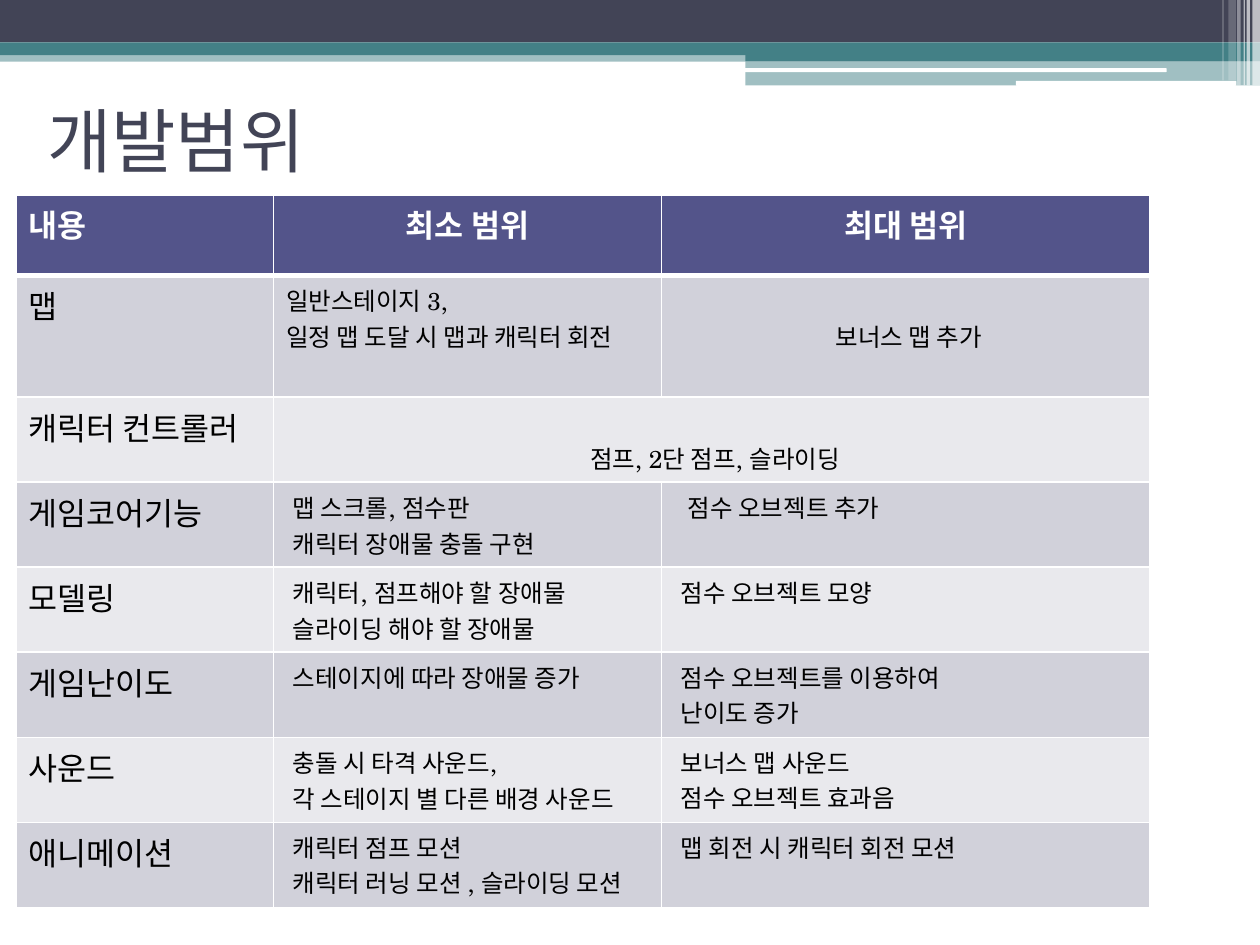
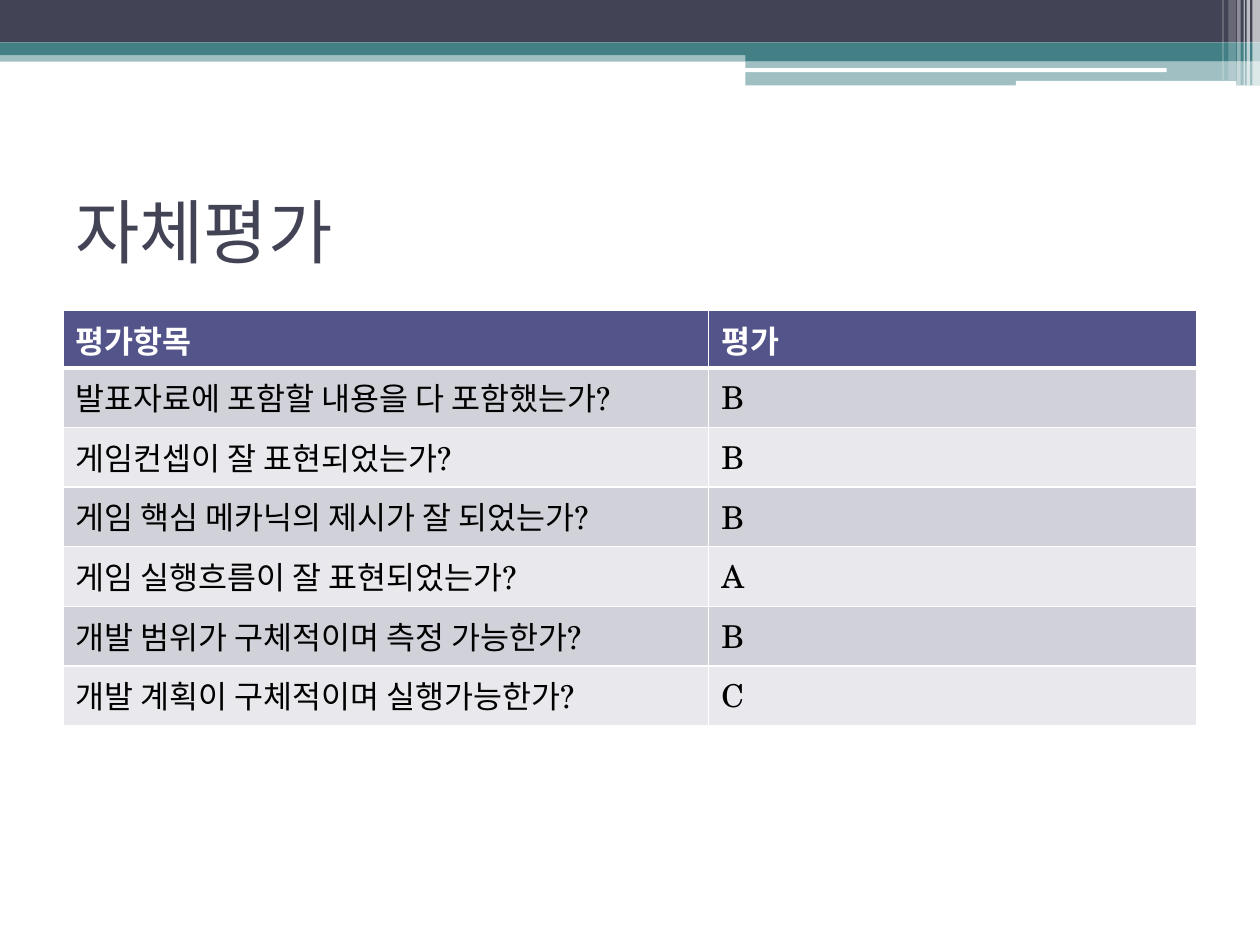
import lxml.etree
import pptx
import pptx.dml.color
import pptx.enum.shapes
import pptx.enum.text
import pptx.oxml.ns
import pptx.util

Pt = pptx.util.Pt
RGBColor = pptx.dml.color.RGBColor
MSO_SHAPE = pptx.enum.shapes.MSO_SHAPE
PP_ALIGN = pptx.enum.text.PP_ALIGN
MSO_ANCHOR = pptx.enum.text.MSO_ANCHOR
qn = pptx.oxml.ns.qn

# Shared style
SLATE = RGBColor(0x42, 0x44, 0x56)
TEAL = RGBColor(0x43, 0x80, 0x86)
WHITE = RGBColor(0xFF, 0xFF, 0xFF)
BLACK = RGBColor(0, 0, 0)
HEADER = RGBColor(0x53, 0x54, 0x8A)
ROW_DARK = RGBColor(0xD1, 0xD1, 0xDA)
ROW_LIGHT = RGBColor(0xE9, 0xE9, 0xED)
TITLE_FONT = "Karla"
TABLE_FONT = "TeX Gyre Schola"
RECT, ROUND = MSO_SHAPE.RECTANGLE, MSO_SHAPE.ROUNDED_RECTANGLE

# Top decoration: shape, left, top, width, height, colour, opacity in percent
BANDS = [
    (RECT, 0, 28.8, 720, 6.5, TEAL, 50),
    (RECT, 0, 0, 720, 24.3, SLATE, 100),
    (RECT, 0, 24.3, 720, 7.2, TEAL, 100),
    (RECT, 426, 28, 294, 7, TEAL, 100),
    (RECT, 426, 35, 294, 13.8, TEAL, 50),
    (ROUND, 425.5, 39, 241.2, 2.2, WHITE, 100),
    (ROUND, 580.5, 46.2, 126, 2.8, WHITE, 100),
    (RECT, 715.7, 0, 4.3, 48.8, WHITE, 65),
    (RECT, 712.3, 0, 2, 48.8, WHITE, 65),
    (RECT, 710.7, 0, 0.7, 48.8, WHITE, 60),
    (RECT, 707, 0, 2, 48.8, WHITE, 40),
    (RECT, 702, 0, 4.3, 46, WHITE, 20),
    (RECT, 698.5, 0, 0.7, 46, WHITE, 30),
]


def add_base(prs, title, left, top):
    """Add a slide with the top bands and its title."""
    s = prs.slides.add_slide(prs.slide_layouts[6])
    for shape, x, y, w, h, color, opacity in BANDS:
        sp = s.shapes.add_shape(shape, Pt(x), Pt(y), Pt(w), Pt(h))
        sp.shadow.inherit = False
        sp.fill.solid()
        sp.fill.fore_color.rgb = color
        sp.line.fill.background()
        if opacity < 100:
            clr = sp._element.spPr.find(".//" + qn("a:srgbClr"))
            lxml.etree.SubElement(clr, qn("a:alpha"), val=str(opacity * 1000))
    tf = s.shapes.add_textbox(Pt(left), Pt(top), Pt(648), Pt(84)).text_frame
    tf.word_wrap = True
    tf.vertical_anchor = MSO_ANCHOR.MIDDLE
    tf.text = title
    font = tf.paragraphs[0].runs[0].font
    font.name, font.size, font.color.rgb = TITLE_FONT, Pt(40), SLATE
    return s


def add_grid(s, left, top, widths, heights, rows):
    """Add a table with a header row, banded rows and white borders."""
    table = s.shapes.add_table(len(rows), len(widths), Pt(left), Pt(top),
                               Pt(sum(widths)), Pt(sum(heights))).table
    for col, width in zip(table.columns, widths):
        col.width = Pt(width)
    for i, (row, height) in enumerate(zip(rows, heights)):
        table.rows[i].height = Pt(height)
        for j, text in enumerate(row):
            cell = table.cell(i, j)
            cell.text = text
            cell.fill.solid()
            cell.fill.fore_color.rgb = HEADER if i == 0 else (ROW_LIGHT, ROW_DARK)[i % 2]
            for k, side in enumerate(("lnL", "lnR", "lnT", "lnB")):
                width = 3 if (i, side) in ((0, "lnB"), (1, "lnT")) else 1
                ln = lxml.etree.Element(qn("a:" + side), w=str(Pt(width)))
                fill = lxml.etree.SubElement(ln, qn("a:solidFill"))
                lxml.etree.SubElement(fill, qn("a:srgbClr"), val=str(WHITE))
                cell._tc.get_or_add_tcPr().insert(k, ln)
            for p in cell.text_frame.paragraphs:
                for r in p.runs:
                    r.font.name, r.font.size = TABLE_FONT, Pt(18)
                    r.font.bold = i == 0
                    r.font.color.rgb = WHITE if i == 0 else BLACK
    return table


prs = pptx.Presentation()
prs.slide_width, prs.slide_height = Pt(720), Pt(540)

# Slide 1: development scope
scope_rows = [
    ("내용", "최소 범위", "최대 범위"),
    ("맵", "일반스테이지 3,\n일정 맵 도달 시 맵과 캐릭터 회전", "보너스 맵 추가"),
    ("캐릭터 컨트롤러", "점프, 2단 점프, 슬라이딩", ""),
    ("게임코어기능", "맵 스크롤, 점수판\n캐릭터 장애물 충돌 구현", "점수 오브젝트 추가"),
    ("모델링", "캐릭터, 점프해야 할 장애물\n슬라이딩 해야 할 장애물", "점수 오브젝트 모양"),
    ("게임난이도", "스테이지에 따라 장애물 증가", "점수 오브젝트를 이용하여\n난이도 증가"),
    ("사운드", "충돌 시 타격 사운드,\n각 스테이지 별 다른 배경 사운드",
     "보너스 맵 사운드\n점수 오브젝트 효과음"),
    ("애니메이션", "캐릭터 점프 모션\n캐릭터 러닝 모션 , 슬라이딩 모션", "맵 회전 시 캐릭터 회전 모션"),
]
s = add_base(prs, "개발범위", 20, 37.5)
scope = add_grid(s, 9, 111.5, [147.3, 221.7, 279], [45.8, 69.7] + [48.6] * 6, scope_rows)

# Smaller, slightly indented text in the two scope columns
for i in range(1, len(scope_rows)):
    for j in (1, 2):
        cell = scope.cell(i, j)
        cell.margin_left = Pt(7.2 if (i, j) == (1, 1) else 11)
        for p in cell.text_frame.paragraphs:
            for r in p.runs:
                r.font.size = Pt(14)
scope.cell(3, 2).margin_left = Pt(15)

# Centred cells; the two body ones start one line lower
scope.cell(2, 1).merge(scope.cell(2, 2))
for i, j in ((0, 1), (0, 2), (1, 2), (2, 1)):
    cell = scope.cell(i, j)
    cell.text_frame.paragraphs[0].alignment = PP_ALIGN.CENTER
    if i > 0:
        cell.margin_top = Pt(24.4)

# Slide 2: self-evaluation
grade_rows = [
    ("평가항목", "평가"),
    ("발표자료에 포함할 내용을 다 포함했는가?", "B"),
    ("게임컨셉이 잘 표현되었는가?", "B"),
    ("게임 핵심 메카닉의 제시가 잘 되었는가?", "B"),
    ("게임 실행흐름이 잘 표현되었는가?", "A"),
    ("개발 범위가 구체적이며 측정 가능한가?", "B"),
    ("개발 계획이 구체적이며 실행가능한가?", "C"),
]
s = add_base(prs, "자체평가", 36, 90)
add_grid(s, 36, 177.3, [369, 279], [32.9] + [34.1] * 6, grade_rows)

prs.save("out.pptx")
